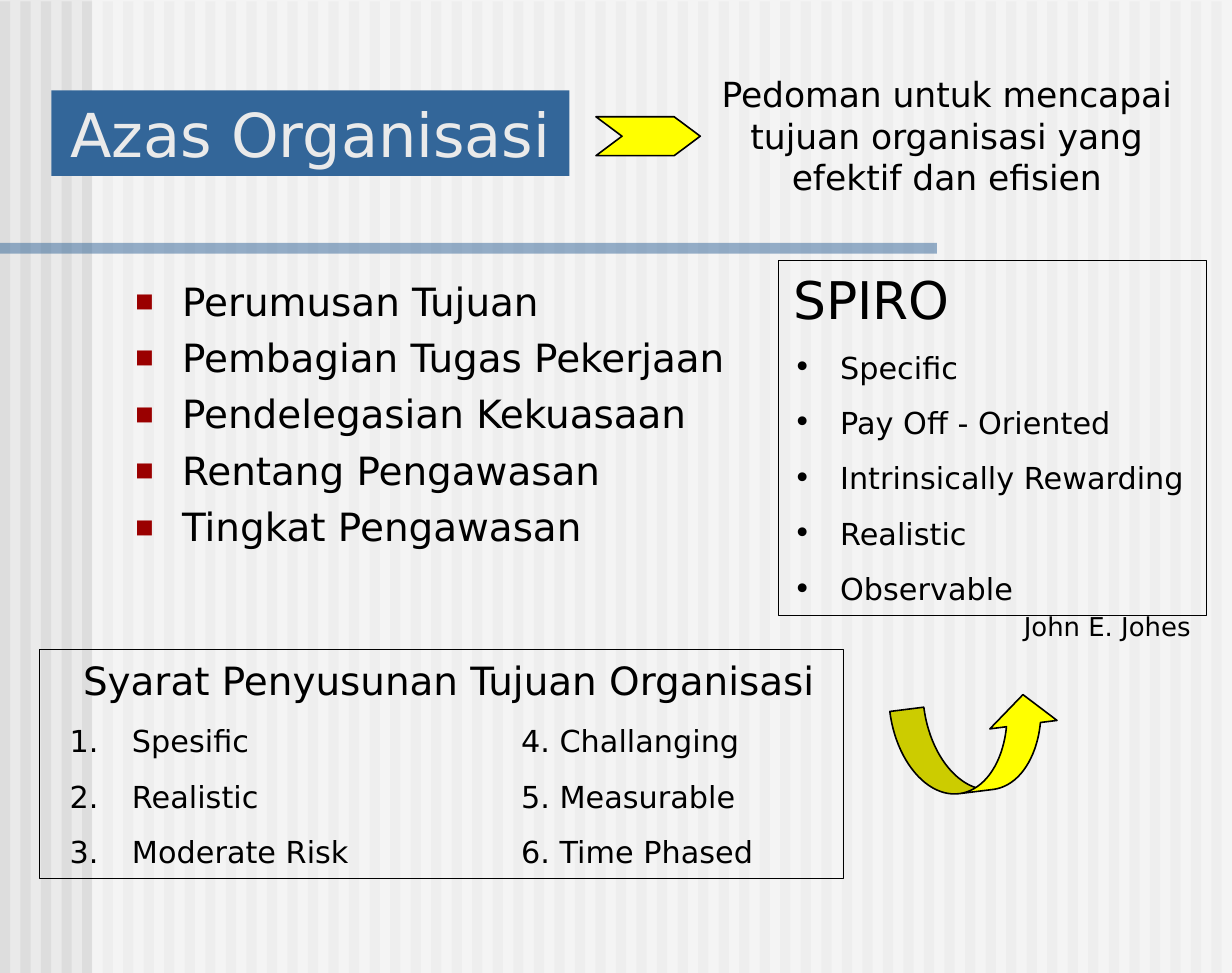
from lxml.etree import SubElement
from pptx import Presentation
from pptx.dml.color import RGBColor
from pptx.enum.shapes import MSO_SHAPE
from pptx.enum.text import MSO_ANCHOR, PP_ALIGN
from pptx.oxml.ns import qn
from pptx.util import Inches, Pt

WIDTH, HEIGHT = 95 / 12, 6.25
STRIPES = 60
FONT = "DejaVu Sans"
COLORS = {
    "background": "EAEAEA",
    "stripe": "DDDDDD",
    "veil": "FFFFFF",
    "blue": "336699",
    "square": "9A0000",
    "text": "000000",
    "arrow": "FFFF00",
}
WIDE_MARGINS = (0.1, 0.05)
PLACEHOLDER_MARGINS = (0.08, 0.04)

PRINCIPLES = ["Perumusan Tujuan", "Pembagian Tugas Pekerjaan", "Pendelegasian Kekuasaan",
              "Rentang Pengawasan", "Tingkat Pengawasan"]
SPIRO = ["Specific", "Pay Off - Oriented", "Intrinsically Rewarding", "Realistic", "Observable"]
REQUIREMENTS = ["Spesific\t\t4. Challanging", "Realistic\t\t5. Measurable",
                "Moderate Risk\t\t6. Time Phased"]


def rgb(name):
    return RGBColor.from_string(COLORS[name])


def set_all(target, values):
    for attribute, value in values.items():
        setattr(target, attribute, value)


def place(shape, left, top, width, height):
    set_all(shape, {"left": Inches(left), "top": Inches(top),
                    "width": Inches(width), "height": Inches(height)})


def add_form(shapes, preset, box, fill=None, line_width=None, alpha=None):
    form = shapes.add_shape(preset, *map(Inches, box))
    form.shadow.inherit = False
    if fill:
        form.fill.solid()
        form.fill.fore_color.rgb = rgb(fill)
    else:
        form.fill.background()
    if line_width:
        form.line.color.rgb = rgb("text")
        form.line.width = Pt(line_width)
    else:
        form.line.fill.background()
    if alpha:
        color = form.element.spPr.find(qn("a:solidFill"))[0]
        SubElement(color, qn("a:alpha")).set("val", str(alpha * 1000))
    return form


def prepare_frame(shape, margins, anchor=MSO_ANCHOR.TOP):
    side, edge = map(Inches, margins)
    frame = shape.text_frame
    set_all(frame, {"word_wrap": True, "vertical_anchor": anchor,
                    "margin_left": side, "margin_right": side,
                    "margin_top": edge, "margin_bottom": edge})
    return frame


def add_line(frame, text, size, color="text", align=PP_ALIGN.LEFT, before=0,
             indent=(0, 0), bullet=None, tabs=()):
    """Write the next paragraph; bullet is a list of (tag, attributes)."""
    first = not frame.text
    line = frame.paragraphs[0] if first else frame.add_paragraph()
    line.text = text
    properties = line._p.get_or_add_pPr()
    margin, hanging = indent
    properties.set("marL", str(Inches(margin)))
    properties.set("indent", str(Inches(hanging)))
    for tag, attributes in bullet or [("a:buNone", {})]:
        SubElement(properties, qn(tag), attributes)
    if tabs:
        stops = SubElement(properties, qn("a:tabLst"))
        for stop in tabs:
            SubElement(stops, qn("a:tab"), {"pos": str(Inches(stop)), "algn": "l"})
    set_all(line, {"alignment": align, "line_spacing": 1.0,
                   "space_before": Pt(0 if first else before), "space_after": Pt(0)})
    for run in line.runs:
        set_all(run.font, {"name": FONT, "size": Pt(size), "bold": False})
        run.font.color.rgb = rgb(color)


def add_note(slide, box, text, size, align):
    note = slide.shapes.add_textbox(*map(Inches, box))
    add_line(prepare_frame(note, WIDE_MARGINS), text, size, align=align)


def add_panel(slide, box, heading, items, item_format):
    """Outlined box with a heading and a list below it."""
    panel = add_form(slide.shapes, MSO_SHAPE.RECTANGLE, box, line_width=0.25)
    frame = prepare_frame(panel, WIDE_MARGINS)
    add_line(frame, **heading)
    for item in items:
        add_line(frame, item, 14, before=8.8, **item_format)


def add_arrow(slide, preset, box, adjustments, rotation=0):
    arrow = add_form(slide.shapes, preset, box, "arrow", 0.75)
    arrow.rotation = rotation
    for index, value in enumerate(adjustments):
        arrow.adjustments[index] = value


def add_backdrop(slide):
    """Stripes, veil and rule, moved to the slide master."""
    master = slide.slide_layout.slide_master
    master.background.fill.solid()
    master.background.fill.fore_color.rgb = rgb("background")
    backdrop = slide.shapes.add_group_shape()
    pitch = WIDTH / STRIPES
    for index in range(STRIPES):
        add_form(backdrop.shapes, MSO_SHAPE.RECTANGLE,
                 (index * pitch, 0.01, pitch / 2, HEIGHT - 0.01), "stripe")
    add_form(backdrop.shapes, MSO_SHAPE.RECTANGLE, (0.59, 0, WIDTH - 0.59, HEIGHT),
             "veil", alpha=50)
    add_form(backdrop.shapes, MSO_SHAPE.RECTANGLE, (0, 1.56, 6.02, 0.07), "blue", alpha=50)
    # Keep shape numbers unique within the master
    for number, part in enumerate(backdrop.element.iter(qn("p:cNvPr")), 100):
        part.set("id", str(number))
    master.shapes.element.append(backdrop.element)


def fill_title(title):
    place(title, 0.33, 0.58, 3.33, 0.55)
    title.fill.solid()
    title.fill.fore_color.rgb = rgb("blue")
    frame = prepare_frame(title, PLACEHOLDER_MARGINS, MSO_ANCHOR.BOTTOM)
    add_line(frame, "Azas Organisasi", 28, "background", PP_ALIGN.CENTER)


def fill_principles(body):
    place(body, 0.79, 1.74, 4.04, 1.93)
    frame = prepare_frame(body, PLACEHOLDER_MARGINS)
    square = [("a:buClr", {}), ("a:buSzPct", {"val": "50000"}),
              ("a:buFont", {"typeface": FONT}), ("a:buChar", {"char": "■"})]
    for principle in PRINCIPLES:
        add_line(frame, principle, 18, before=4.5, indent=(0.3, -0.3), bullet=square)
    for color in body.element.iter(qn("a:buClr")):
        SubElement(color, qn("a:srgbClr")).set("val", COLORS["square"])


def main():
    presentation = Presentation()
    presentation.slide_width, presentation.slide_height = Inches(WIDTH), Inches(HEIGHT)
    slide = presentation.slides.add_slide(presentation.slide_layouts[1])
    add_backdrop(slide)

    # Title, its meaning and the principles
    fill_title(slide.shapes.title)
    fill_principles(slide.placeholders[1])
    add_note(slide, (4.42, 0.42, 3.33, 0.9),
             "Pedoman untuk mencapai tujuan organisasi yang efektif dan efisien",
             16, PP_ALIGN.CENTER)
    add_arrow(slide, MSO_SHAPE.CHEVRON, (3.83, 0.75, 0.67, 0.25), [0.67])

    # Requirements for setting goals
    add_panel(slide, (0.25, 4.17, 5.17, 1.47),
              {"text": "Syarat Penyusunan Tujuan Organisasi", "size": 18,
               "align": PP_ALIGN.CENTER, "indent": (0.5, -0.4)},
              REQUIREMENTS,
              {"indent": (0.5, -0.4), "tabs": (2, 3),
               "bullet": [("a:buFont", {"typeface": FONT}),
                          ("a:buAutoNum", {"type": "arabicPeriod"})]})

    # SPIRO and its author
    add_panel(slide, (5, 1.67, 2.75, 2.28), {"text": "SPIRO", "size": 24}, SPIRO,
              {"indent": (0.3, -0.3),
               "bullet": [("a:buFont", {"typeface": FONT}), ("a:buChar", {"char": "•"})]})
    add_note(slide, (5.83, 3.87, 1.92, 0.3), "John E. Johes", 12, PP_ALIGN.RIGHT)
    add_arrow(slide, MSO_SHAPE.CURVED_RIGHT_ARROW, (6, 4.25, 0.58, 1.08),
              [0.38, 0.75, 0.33], 262.8)

    presentation.save("out.pptx")


if __name__ == "__main__":
    main()
